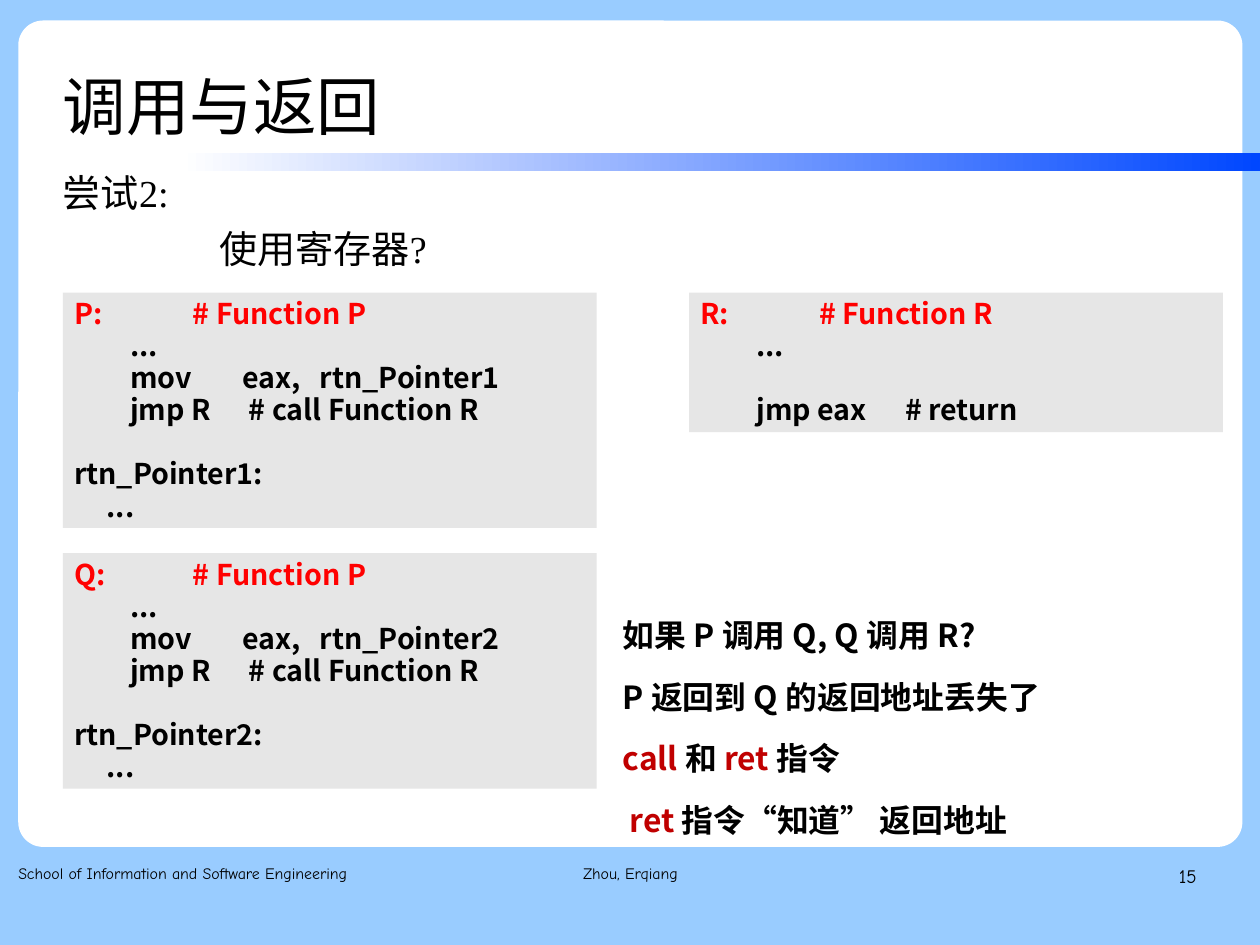
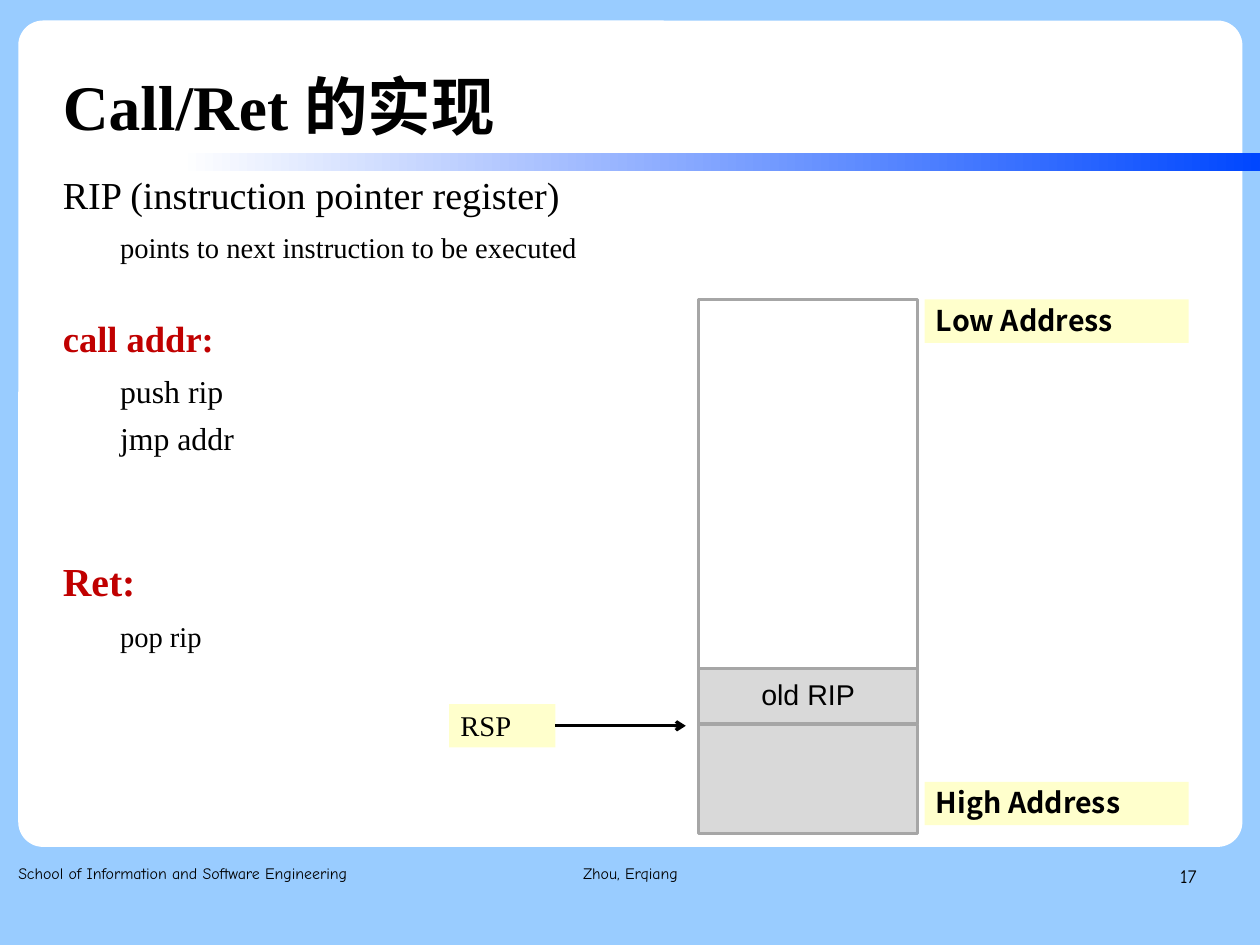
from lxml import etree
from pptx import Presentation
from pptx.dml.color import RGBColor
from pptx.enum.shapes import MSO_CONNECTOR, MSO_SHAPE
from pptx.enum.text import MSO_ANCHOR, MSO_AUTO_SIZE, PP_ALIGN
from pptx.oxml.ns import qn
from pptx.util import Cm, Inches, Pt

LEFT, CENTER, RIGHT = PP_ALIGN.LEFT, PP_ALIGN.CENTER, PP_ALIGN.RIGHT
TOP, MIDDLE = MSO_ANCHOR.TOP, MSO_ANCHOR.MIDDLE
NO_FIT = MSO_AUTO_SIZE.NONE
RECTANGLE, ROUNDED = MSO_SHAPE.RECTANGLE, MSO_SHAPE.ROUNDED_RECTANGLE
STRAIGHT = MSO_CONNECTOR.STRAIGHT

# Shared style
WIDTH_CM, HEIGHT_CM = 28, 21
MARGIN = 0.55
SKY, WHITE, BLUE, BLACK = "99CCFF", "FFFFFF", "0047FF", "000000"
RED, DARK_RED = "FF0000", "C00000"
CODE_GRAY, CELL_GRAY, EDGE_GRAY, YELLOW = "E6E6E6", "D9D9D9", "A6A6A6", "FFFFCC"
SERIF, SANS, HAND, PLAIN = "Times New Roman", "Noto Sans CJK SC", "Comic Neue", "Arial"
TAB = 0.49
INSETS = (0.1, 0.05, 0.1, 0.05)
NO_INSETS = (0, 0, 0, 0)


def color(hex_value):
    return RGBColor.from_string(hex_value)


def apply(target, values):
    for name, value in values.items():
        setattr(target, name, value)


def line(spans, tabs=(), indent=0.0, hanging=0.0, paragraph=None, **font):
    """One paragraph: a string or (text, font values) spans, plus its format."""
    if isinstance(spans, str):
        spans = [(spans, {})]
    return {"spans": spans, "tabs": tabs, "indent": indent, "hanging": hanging,
            "paragraph": paragraph or {}, "font": font}


def format_paragraph(para, item, defaults):
    properties = para._p.get_or_add_pPr()
    if item["indent"]:
        properties.set("marL", str(Inches(item["indent"])))
        properties.set("indent", str(Inches(-item["hanging"])))
    etree.SubElement(properties, qn("a:buNone"))
    if item["tabs"]:
        tab_list = etree.SubElement(properties, qn("a:tabLst"))
        for stop in item["tabs"]:
            etree.SubElement(tab_list, qn("a:tab"), pos=str(Inches(stop)), algn="l")
    apply(para, {"space_before": Pt(0), "space_after": Pt(0), "alignment": LEFT,
                 **defaults, **item["paragraph"]})


def format_span(span, size, name, bold=False, hex_value=BLACK):
    apply(span.font, {"size": Pt(size), "name": name, "bold": bold})
    span.font.color.rgb = color(hex_value)
    etree.SubElement(span._r.get_or_add_rPr(), qn("a:ea"), typeface=SANS)


def write(shape, lines, font, paragraph=None, anchor=TOP, insets=INSETS):
    frame = shape.text_frame
    apply(frame, {"word_wrap": True, "auto_size": NO_FIT, "vertical_anchor": anchor})
    sides = ("margin_left", "margin_top", "margin_right", "margin_bottom")
    apply(frame, {side: Inches(inset) for side, inset in zip(sides, insets)})
    for number, item in enumerate(lines):
        para = frame.add_paragraph() if number else frame.paragraphs[0]
        format_paragraph(para, item, paragraph or {})
        for text, values in item["spans"]:
            span = para.add_run()
            span.text = text
            format_span(span, **{**font, **item["font"], **values})


def place(shape, box):
    apply(shape, dict(zip(("left", "top", "width", "height"), map(Inches, box))))


def add_text(page, box, lines, font, **options):
    shape = page.shapes.add_textbox(*map(Inches, box))
    write(shape, lines, font, **options)


def add_box(page, box, fill, edge=None, kind=RECTANGLE):
    shape = page.shapes.add_shape(kind, *map(Inches, box))
    shape.shadow.inherit = False
    shape.fill.solid()
    shape.fill.fore_color.rgb = color(fill)
    if edge:
        shape.line.color.rgb = color(edge)
        shape.line.width = Pt(2)
    else:
        shape.line.fill.background()
    return shape


def fixed_pitch(size):
    return {"line_spacing": Pt(round(size * 1.12, 1))}


# Template: background, white panel and gradient band
def build_layout(deck, layout, page):
    background = deck.slide_master.background.fill
    background.solid()
    background.fore_color.rgb = color(SKY)
    for holder in list(layout.placeholders):
        if holder.placeholder_format.idx > 1:
            holder.element.getparent().remove(holder.element)

    panel = add_box(page, (0.16, 0.18, 10.71, 7.23), WHITE, kind=ROUNDED)
    panel.adjustments[0] = 0.03
    band = add_box(page, (1.57, 1.34, 9.45, 0.16), BLUE)
    band.fill.gradient()
    band.fill.gradient_angle = 0
    for stop, position, shade in zip(band.fill.gradient_stops, (0, 1), (WHITE, BLUE)):
        stop.position = position
        stop.color.rgb = color(shade)
    for position, shape in enumerate((panel, band), start=2):
        layout.shapes.element.insert(position, shape.element)


# Title, body list and footer of every slide
def fill_page(page, title, body, number, bold=False):
    place(page.shapes.title, (MARGIN, 0.33, 8.58, 1.01))
    write(page.shapes.title, [line(title)], {"size": 40, "name": SERIF, "bold": bold},
          {"line_spacing": Pt(60)}, MIDDLE, NO_INSETS)
    holder = page.placeholders[1]
    place(holder, (MARGIN, 1.57, 10.42, 5.71))
    write(holder, body, {"size": 24, "name": SERIF},
          {"line_spacing": 0.75, "space_after": Pt(14.1)}, insets=(0, 0.02, 0, 0))

    footers = (
        (0.16, 3.38, LEFT, 10, "School of Information and Software Engineering"),
        (3.77, 3.49, CENTER, 10, "Zhou, Erqiang"),
        (7.9, 2.57, RIGHT, 12, number),
    )
    for left, width, alignment, size, text in footers:
        add_text(page, (left, 7.53, width, 0.57), [line(text)],
                 {"size": size, "name": HAND},
                 paragraph={"line_spacing": 1.16, "alignment": alignment},
                 insets=NO_INSETS)


def add_code(page, box, lines):
    write(add_box(page, box, CODE_GRAY), lines,
          {"size": 18, "name": SANS, "bold": True}, fixed_pitch(18))


def code_head(name, function):
    return line(f"{name}:\t# Function {function}", tabs=(1.04,), hex_value=RED)


BLANK_LINE_AFTER = {"space_after": fixed_pitch(18)["line_spacing"]}


def caller_code(name, pointer):
    return [
        code_head(name, "P"),
        line("\t...", tabs=(TAB,)),
        line(f"\tmov\teax,\t{pointer}", tabs=(TAB, 3 * TAB, 2.15)),
        line("\tjmp R\t# call Function R", tabs=(TAB, 1.53), paragraph=BLANK_LINE_AFTER),
        line(f"{pointer}:"),
        line("     ..."),
    ]


def add_notes(page, left, top, pitch):
    red = {"hex_value": DARK_RED}
    notes = (
        line("如果 P 调用 Q, Q 调用 R?"),
        line("P 返回到 Q 的返回地址丢失了"),
        line([("call ", red), ("和 ", {}), ("ret ", red), ("指令", {})]),
        line([("ret ", red), ("指令“知道” 返回地址", {})], indent=0.06),
    )
    for row, note in enumerate(notes):
        add_text(page, (left, top + row * pitch, 5.62, 0.41), [note],
                 {"size": 20, "name": SANS, "bold": True}, paragraph=fixed_pitch(20))


def build_call_page(page):
    pitch = {"line_spacing": Pt(21.2)}
    body = [line("尝试2:", indent=0.38, hanging=0.38, paragraph=pitch),
            line("使用寄存器?", indent=1.37, paragraph=pitch)]
    fill_page(page, "调用与返回", body, "15")
    callee = [
        code_head("R", "R"),
        line("\t...", tabs=(TAB,), paragraph=BLANK_LINE_AFTER),
        line("\tjmp eax\t# return", tabs=(TAB, 1.79)),
    ]
    add_code(page, (MARGIN, 2.56, 4.67, 2.06), caller_code("P", "rtn_Pointer1"))
    add_code(page, (6.03, 2.56, 4.67, 1.22), callee)
    add_code(page, (MARGIN, 4.84, 4.67, 2.06), caller_code("Q", "rtn_Pointer2"))
    add_notes(page, 5.35, 5.36, 0.54)


def add_label(page, box, text, name, bold):
    label = add_box(page, box, YELLOW)
    write(label, [line(text)], {"size": 18, "name": name, "bold": bold}, fixed_pitch(18))
    return label


# Stack column with its address labels and stack pointer
def add_stack(page, left, top, width):
    cells = ((3.72, 0.95, CELL_GRAY, ""), (0, 3.71, WHITE, ""),
             (3.23, 0.48, CELL_GRAY, "old RIP"))
    for offset, height, fill, text in cells:
        cell = add_box(page, (left, top + offset, width, height), fill, EDGE_GRAY)
        if text:
            write(cell, [line(text)], {"size": 18, "name": PLAIN},
                  {"line_spacing": 0.93, "alignment": CENTER}, MIDDLE)
    for offset, text in ((0, "Low Address"), (4.22, "High Address")):
        add_label(page, (left + width + 0.06, top + offset, 2.31, 0.38), text, SANS, True)

    pointer = add_label(page, (left - 2.18, top + 3.54, 0.93, 0.38), "RSP", SERIF, False)
    level = Inches(top + 3.73)
    arrow = page.shapes.add_connector(STRAIGHT, Inches(left - 1.25), level,
                                      Inches(left - 0.11), level)
    arrow.begin_connect(pointer, 3)
    arrow.line.color.rgb = color(BLACK)
    arrow.line.width = Pt(2)
    etree.SubElement(arrow.line._get_or_add_ln(), qn("a:tailEnd"), type="arrow")
    etree.SubElement(arrow.element.spPr, qn("a:effectLst"))


def detail(text, size, after=11.4):
    return line(text, indent=0.5, size=size,
                paragraph={"level": 1, "space_after": Pt(after)})


def heading(text, **font):
    return line(text, indent=0.38, hanging=0.38, **font)


def build_stack_page(page):
    body = [
        heading("RIP (instruction pointer register)"),
        detail("points to next instruction to be executed", 18, after=38.9),
        heading("call addr:", size=23, bold=True, hex_value=DARK_RED),
        detail("push rip", 20),
        detail("jmp addr", 20, after=70.6),
        heading("Ret:", size=25, bold=True, hex_value=DARK_RED),
        detail("pop rip", 18),
    ]
    fill_page(page, "Call/Ret 的实现", body, "17", bold=True)
    add_stack(page, 6.11, 2.62, 1.92)


def main():
    deck = Presentation()
    deck.slide_width, deck.slide_height = Cm(WIDTH_CM), Cm(HEIGHT_CM)
    layout = deck.slide_layouts[1]
    call_page, stack_page = (deck.slides.add_slide(layout) for _ in range(2))
    build_layout(deck, layout, call_page)
    build_call_page(call_page)
    build_stack_page(stack_page)
    deck.save("out.pptx")


if __name__ == "__main__":
    main()
